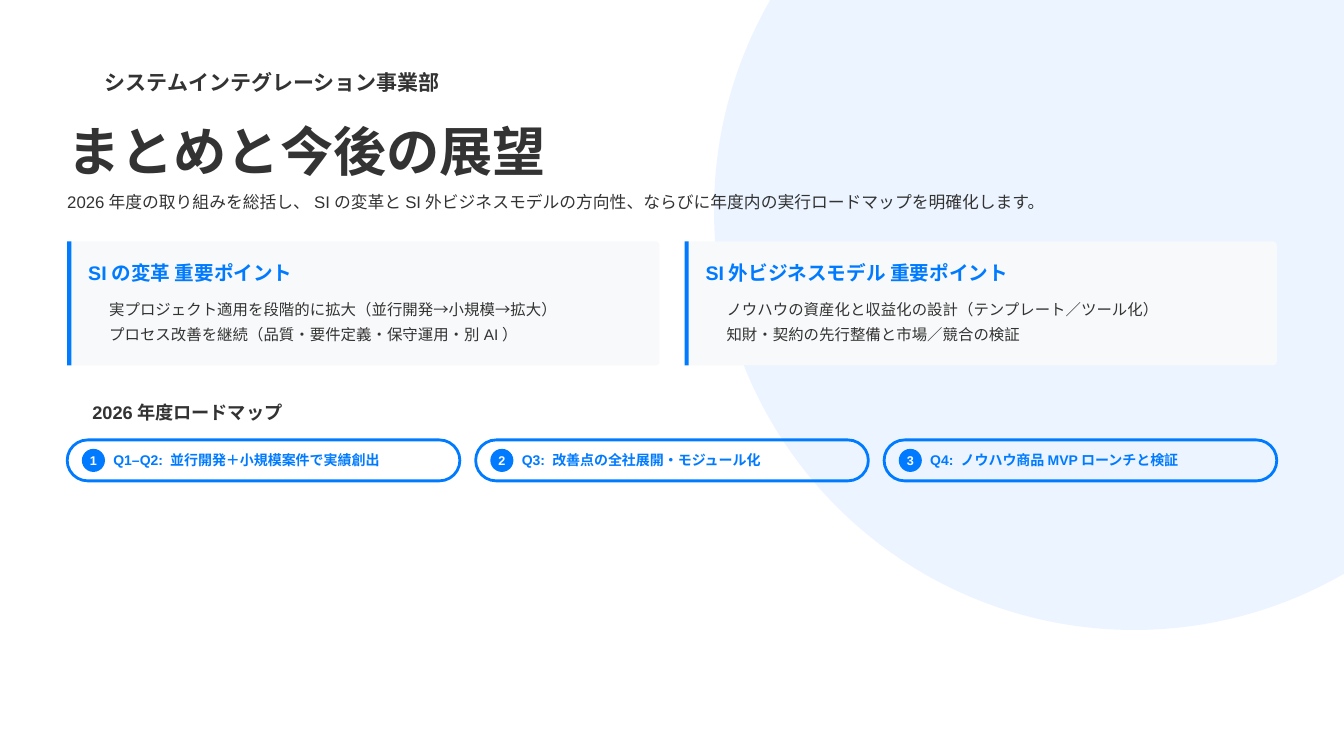
from lxml.etree import SubElement
from pptx import Presentation
from pptx.dml.color import RGBColor
from pptx.enum.shapes import MSO_SHAPE as Shape
from pptx.enum.text import MSO_ANCHOR as Anchor, MSO_AUTO_SIZE as AutoSize, PP_ALIGN as Align
from pptx.oxml.ns import qn
from pptx.util import Inches, Pt

COLUMNS, ROWS = 1280, 720
CELL = Inches(1) / 96
MARGIN = 64
CONTENT = COLUMNS - 2 * MARGIN
BLUE, INK, PALE, WHITE = "007BFF", "333333", "F8F9FA", "FFFFFF"

CARDS = [
    ("SIの変革 重要ポイント", [
        "実プロジェクト適用を段階的に拡大（並行開発→小規模→拡大）",
        "プロセス改善を継続（品質・要件定義・保守運用・別AI）"]),
    ("SI外ビジネスモデル 重要ポイント", [
        "ノウハウの資産化と収益化の設計（テンプレート／ツール化）",
        "知財・契約の先行整備と市場／競合の検証"]),
]
STEPS = [
    "Q1–Q2: 並行開発＋小規模案件で実績創出",
    "Q3: 改善点の全社展開・モジュール化",
    "Q4: ノウハウ商品MVPローンチと検証",
]


def grid(*cells):
    """Turn grid cells into slide lengths."""
    return [round(cell * CELL) for cell in cells]


def paint(color_format, hex_color):
    """Set a colour from a hex string."""
    color_format.rgb = RGBColor.from_string(hex_color)


def write(holder, text, size, color, bold=False, align=Align.LEFT):
    """Write one formatted line into a shape."""
    frame = holder.text_frame
    layout = dict(margin_left=0, margin_top=0, margin_right=0, margin_bottom=0,
                  vertical_anchor=Anchor.MIDDLE, word_wrap=True, auto_size=AutoSize.NONE)
    for name, value in layout.items():
        setattr(frame, name, value)
    line = frame.paragraphs[0]
    line.alignment = align
    run = line.add_run()
    run.text = text
    for name, value in dict(name="Arial", size=Pt(size), bold=bold).items():
        setattr(run.font, name, value)
    paint(run.font.color, color)


def label(slide, box, text, size, color=INK, bold=False):
    """Add a line of text in a box of grid cells."""
    write(slide.shapes.add_textbox(*grid(*box)), text, size, color, bold)


def block(slide, preset, box, fill=None, outline=None, corner=None):
    """Add a flat shape in a box of grid cells."""
    shape = slide.shapes.add_shape(preset, *grid(*box))
    shape.shadow.inherit = False
    if fill:
        shape.fill.solid()
        paint(shape.fill.fore_color, fill)
    else:
        shape.fill.background()
    if outline:
        paint(shape.line.color, outline)
        shape.line.width = Pt(2)
    else:
        shape.line.fill.background()
    if corner is not None:
        shape.adjustments[0] = corner
    return shape


def add_backdrop(slide, box):
    """Draw the faint blue circle."""
    circle = block(slide, Shape.OVAL, box, BLUE)
    tint = circle.fill._xPr.find(qn("a:solidFill"))[0]
    SubElement(tint, qn("a:alpha"), val="8000")


def add_header(slide, left, top):
    """Place the division, the title and the summary."""
    label(slide, (left + 36, top, 335, 20), "システムインテグレーション事業部", 15, bold=True)
    title = slide.shapes.title
    places = grid(left, top + 50, 509, 51)
    for name, value in zip(("left", "top", "width", "height"), places):
        setattr(title, name, value)
    write(title, "まとめと今後の展望", 38, INK, bold=True)
    label(slide, (left, top + 116, 940, 16),
          "2026年度の取り組みを総括し、SIの変革とSI外ビジネスモデルの方向性、"
          "ならびに年度内の実行ロードマップを明確化します。", 12)


def add_card(slide, left, top, width, height, heading, points):
    """Place a card with its accent bar, heading and points."""
    block(slide, Shape.ROUNDED_RECTANGLE, (left, top, width, height), PALE, corner=0.03)
    block(slide, Shape.RECTANGLE, (left, top, 4, height), BLUE)
    label(slide, (left + 20, top + 20, width - 40, 19), heading, 14, BLUE, True)
    for row, point in enumerate(points):
        label(slide, (left + 40, top + 57 + 24 * row, width - 60, 15), point, 11)


def add_step(slide, left, top, width, height, number, text):
    """Place a roadmap pill with its numbered badge."""
    badge = 22
    block(slide, Shape.ROUNDED_RECTANGLE, (left, top, width, height), outline=BLUE, corner=0.5)
    disc = block(slide, Shape.OVAL, (left + 14, top + (height - badge) / 2, badge, badge), BLUE)
    write(disc, str(number), 9, WHITE, True, Align.CENTER)
    label(slide, (left + 44, top, width - 60, height), text, 10, BLUE, True)


def add_row(slide, place, items, top, height, gap):
    """Spread items over equal columns of the content width."""
    width = (CONTENT - gap * (len(items) - 1)) / len(items)
    for column, item in enumerate(items):
        place(slide, MARGIN + column * (width + gap), top, width, height, *item)


def main():
    """Build and save the summary slide."""
    deck = Presentation()
    deck.slide_width, deck.slide_height = grid(COLUMNS, ROWS)
    slide = deck.slides.add_slide(deck.slide_layouts[5])
    add_backdrop(slide, (680, -200, 800, 800))
    add_header(slide, MARGIN, 68)
    add_row(slide, add_card, CARDS, 230, 118, 24)
    label(slide, (MARGIN + 24, 384, 194, 18), "2026年度ロードマップ", 13, bold=True)
    add_row(slide, add_step, list(enumerate(STEPS, 1)), 419, 39, 15)
    deck.save("out.pptx")


if __name__ == "__main__":
    main()
